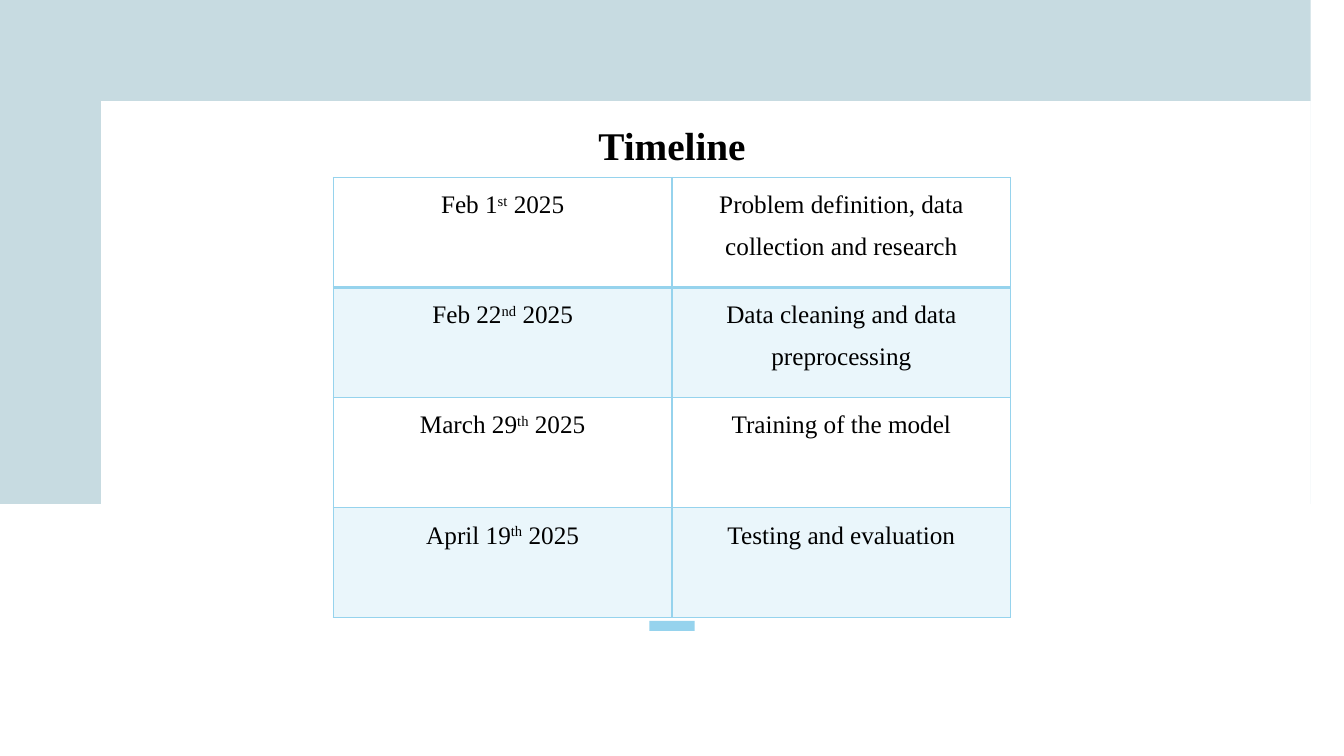
from lxml import etree
from pptx import Presentation
from pptx.dml.color import RGBColor as RGB
from pptx.enum.shapes import MSO_SHAPE as Shape
from pptx.enum.text import MSO_AUTO_SIZE as AutoSize, PP_ALIGN as Align
from pptx.oxml.ns import qn
from pptx.util import Inches, Pt

# Content: day, ordinal suffix, year, task
TITLE = "Timeline"
MILESTONES = [
    ("Feb 1", "st", " 2025", "Problem definition, data collection and research"),
    ("Feb 22", "nd", " 2025", "Data cleaning and data preprocessing"),
    ("March 29", "th", " 2025", "Training of the model"),
    ("April 19", "th", " 2025", "Testing and evaluation"),
]
COLORS = {"frame": "C7DBE1", "accent": "96D3ED", "text": "000000"}
FONT = "Times New Roman"

# Layout in inches
SLIDE_W, SLIDE_H = 13.33, 7.5
FRAME_H, FRAME_SIDE, FRAME_TOP = 4.88, 0.69, 0.75
TABLE_W, TABLE_H, TABLE_TOP = 6.72, 4.37, 1.76
TITLE_W, TITLE_H, TITLE_TOP = 1.68, 0.57, 1.15
TAB_W, TAB_H, TAB_TOP = 0.45, 0.1, 6.16


def centered(width):
    return Inches((SLIDE_W - width) / 2)


def paint(shape, color):
    shape.shadow.inherit = False
    shape.fill.solid()
    shape.fill.fore_color.rgb = RGB.from_string(color)
    shape.line.fill.background()


def add_run(paragraph, text, size, bold=False, superscript=False):
    run = paragraph.add_run()
    run.text = text
    run.font.name = FONT
    run.font.size = Pt(size)
    run.font.bold = bold
    run.font.color.rgb = RGB.from_string(COLORS["text"])
    if superscript:
        run._r.get_or_add_rPr().set("baseline", "30000")


def shade(cell, opacity):
    cell.fill.solid()
    cell.fill.fore_color.rgb = RGB.from_string(COLORS["accent"])
    color = cell._tc.tcPr.find(".//" + qn("a:srgbClr"))
    etree.SubElement(color, qn("a:alpha"), val=str(opacity * 1000))


def add_borders(cell, bottom_width):
    widths = {"lnL": 1, "lnR": 1, "lnT": 1, "lnB": bottom_width}
    for place, (side, width) in enumerate(widths.items()):
        line = etree.Element(qn("a:" + side), w=str(Pt(width)))
        fill = etree.SubElement(line, qn("a:solidFill"))
        etree.SubElement(fill, qn("a:srgbClr"), val=COLORS["accent"])
        cell._tc.get_or_add_tcPr().insert(place, line)


prs = Presentation()
prs.slide_width, prs.slide_height = Inches(SLIDE_W), Inches(SLIDE_H)
slide = prs.slides.add_slide(prs.slide_layouts[6])
shapes = slide.shapes

# Frame around the top of the slide
inner_right = SLIDE_W - FRAME_SIDE
outline = [(SLIDE_W, 0), (SLIDE_W, FRAME_H), (inner_right, FRAME_H),
           (inner_right, FRAME_TOP), (FRAME_SIDE, FRAME_TOP),
           (FRAME_SIDE, FRAME_H), (0, FRAME_H)]
builder = shapes.build_freeform(0, 0, scale=Inches(1))
builder.add_line_segments(outline, close=True)
paint(builder.convert_to_shape(), COLORS["frame"])

# Accent tab under the table
accent_tab = shapes.add_shape(Shape.RECTANGLE, centered(TAB_W), Inches(TAB_TOP),
                              Inches(TAB_W), Inches(TAB_H))
paint(accent_tab, COLORS["accent"])

# Milestone table
schedule = shapes.add_table(len(MILESTONES), 2, centered(TABLE_W), Inches(TABLE_TOP),
                            Inches(TABLE_W), Inches(TABLE_H)).table
schedule.first_row = schedule.horz_banding = False
for row, (day, suffix, year, task) in enumerate(MILESTONES):
    date_runs = [(day, False), (suffix, True), (year, False)]
    for column, runs in enumerate([date_runs, [(task, False)]]):
        cell = schedule.cell(row, column)
        cell.margin_left = cell.margin_right = Inches(0.07)
        cell.margin_top = cell.margin_bottom = 0
        paragraph = cell.text_frame.paragraphs[0]
        paragraph.alignment = Align.CENTER
        paragraph.line_spacing = 1.5
        paragraph.space_after = Pt(8)
        for text, superscript in runs:
            add_run(paragraph, text, 18, superscript=superscript)
        if row % 2:
            shade(cell, 20)
        else:
            cell.fill.background()
        add_borders(cell, bottom_width=2 if row == 0 else 1)

# Title
heading = shapes.add_textbox(centered(TITLE_W), Inches(TITLE_TOP),
                             Inches(TITLE_W), Inches(TITLE_H)).text_frame
heading.word_wrap = False
heading.auto_size = AutoSize.SHAPE_TO_FIT_TEXT
heading.paragraphs[0].alignment = Align.CENTER
add_run(heading.paragraphs[0], TITLE, 28, bold=True)

prs.save("out.pptx")
